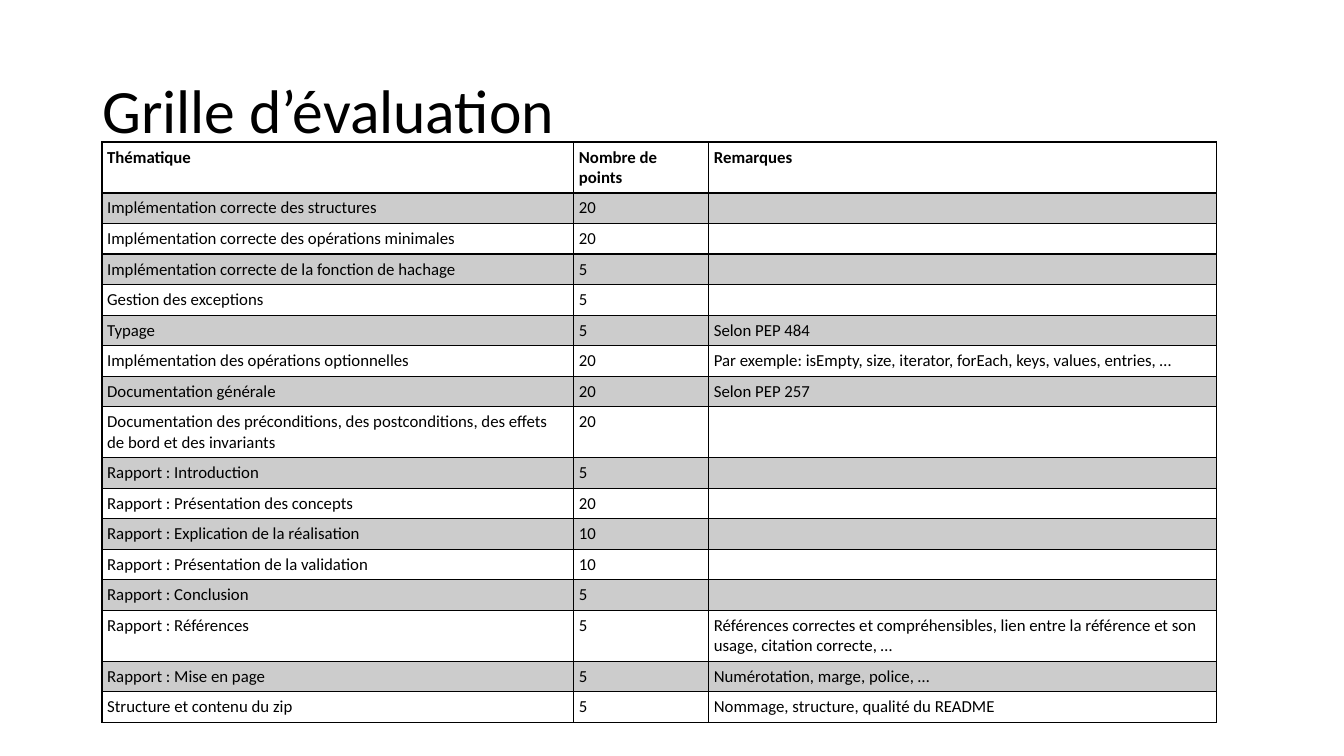
from lxml import etree
from pptx import Presentation
from pptx import util as u
from pptx.dml import color
from pptx.enum import text
from pptx.oxml import ns

HEADER = ("Thématique", "Nombre de points", "Remarques")
CRITERIA = [
    ("Implémentation correcte des structures", 20, ""),
    ("Implémentation correcte des opérations minimales", 20, ""),
    ("Implémentation correcte de la fonction de hachage", 5, ""),
    ("Gestion des exceptions", 5, ""),
    ("Typage", 5, "Selon PEP 484"),
    ("Implémentation des opérations optionnelles", 20,
     "Par exemple: isEmpty, size, iterator, forEach, keys, values, entries, …"),
    ("Documentation générale", 20, "Selon PEP 257"),
    ("Documentation des préconditions, des postconditions, des effets de bord et des invariants", 20, ""),
    ("Rapport : Introduction", 5, ""),
    ("Rapport : Présentation des concepts", 20, ""),
    ("Rapport : Explication de la réalisation", 10, ""),
    ("Rapport : Présentation de la validation", 10, ""),
    ("Rapport : Conclusion", 5, ""),
    ("Rapport : Références", 5,
     "Références correctes et compréhensibles, lien entre la référence et son usage, citation correcte, …"),
    ("Rapport : Mise en page", 5, "Numérotation, marge, police, …"),
    ("Structure et contenu du zip", 5, "Nommage, structure, qualité du README"),
]
COLUMNS = (11.89, 3.4, 12.8)
TALL_ROWS = (0, 8, 14)


class Deck:
    font = "Calibri"
    colors = {"ink": "000000", "paper": "FFFFFF"}

    def __init__(self, prs):
        self.s = prs.slides.add_slide(prs.slide_layouts[6])
        self.s.background.fill.solid()
        self.s.background.fill.fore_color.rgb = self.rgb("paper")

    def rgb(self, name):
        return color.RGBColor.from_string(self.colors[name])

    def style(self, p, size, bold=False):
        for r in p.runs:
            r.font.name = self.font
            r.font.size = u.Pt(size)
            r.font.bold = bold
            r.font.color.rgb = self.rgb("ink")
        if not p.runs:
            etree.SubElement(p._p, ns.qn("a:endParaRPr"), sz=str(size * 100))

    def title(self, words, x, y, w, h):
        sp = self.s.shapes.add_textbox(u.Cm(x), u.Cm(y), u.Cm(w), u.Cm(h))
        tf = sp.text_frame
        tf.word_wrap = True
        tf.vertical_anchor = text.MSO_ANCHOR.MIDDLE
        tf.text = words
        p = tf.paragraphs[0]
        p.line_spacing = 0.9
        self.style(p, 44)

    def borders(self, cell, top, bottom):
        tcPr = cell._tc.get_or_add_tcPr()
        widths = {"lnL": 1, "lnR": 1, "lnT": top, "lnB": bottom}
        for i, (side, width) in enumerate(widths.items()):
            ln = etree.Element(ns.qn(f"a:{side}"), w=str(u.Pt(width)))
            fill = etree.SubElement(ln, ns.qn("a:solidFill"))
            etree.SubElement(fill, ns.qn("a:srgbClr"), val=self.colors["ink"])
            tcPr.insert(i, ln)

    def fill(self, cell, shaded):
        if not shaded:
            cell.fill.background()
            return
        cell.fill.solid()
        cell.fill.fore_color.rgb = self.rgb("ink")
        clr = cell._tc.tcPr.find(".//" + ns.qn("a:srgbClr"))
        etree.SubElement(clr, ns.qn("a:alpha"), val="20000")

    def cell(self, cell, words, row):
        cell.margin_left = cell.margin_right = u.Cm(0.13)
        cell.margin_top = cell.margin_bottom = u.Cm(0.13)
        cell.text = words
        self.style(cell.text_frame.paragraphs[0], 12, bold=row == 0)
        self.fill(cell, row % 2 == 1)
        self.borders(cell, top=2 if row == 1 else 1, bottom=2 if row == 0 else 1)

    def table(self, rows, x, y, columns, tall_rows):
        heights = [1.28 if i in tall_rows else 0.77 for i in range(len(rows))]
        tbl = self.s.shapes.add_table(
            len(rows), len(columns), u.Cm(x), u.Cm(y),
            u.Cm(sum(columns)), u.Cm(sum(heights))).table
        tbl.horz_banding = False
        for col, width in zip(tbl.columns, columns):
            col.width = u.Cm(width)
        for i, (row, height) in enumerate(zip(rows, heights)):
            tbl.rows[i].height = u.Cm(height)
            for j, value in enumerate(row):
                self.cell(tbl.cell(i, j), str(value), i)


def main():
    prs = Presentation()
    prs.slide_width, prs.slide_height = u.Cm(33.87), u.Cm(19.05)
    deck = Deck(prs)
    deck.title("Grille d’évaluation", 2.33, 1.01, 29.21, 3.68)
    deck.table([HEADER] + CRITERIA, 2.57, 3.58, COLUMNS, TALL_ROWS)
    prs.save("out.pptx")


if __name__ == "__main__":
    main()
